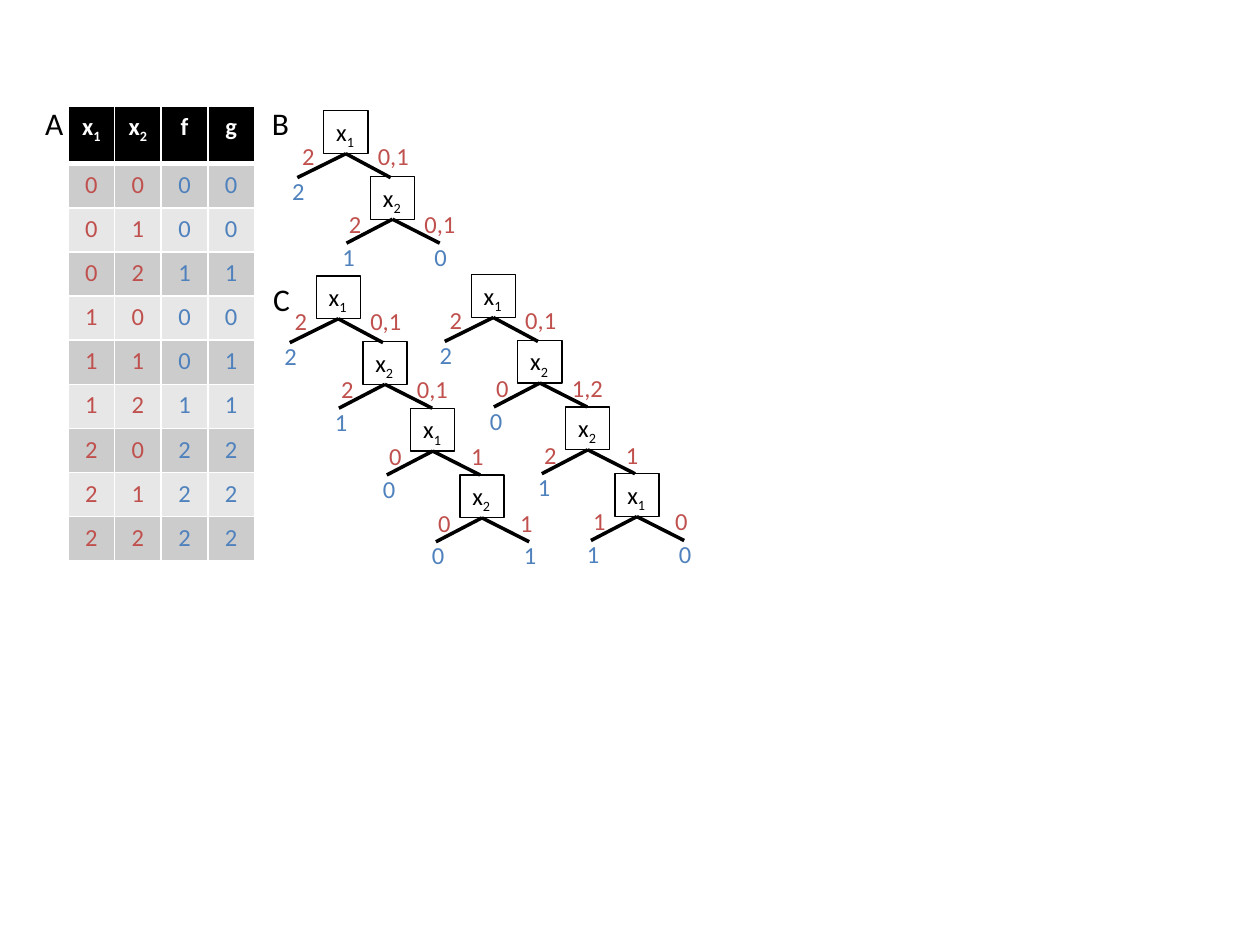
from pptx import Presentation
from pptx.dml.color import RGBColor
from pptx.enum.shapes import MSO_CONNECTOR as CXN, MSO_SHAPE as SHP
from pptx.enum.text import MSO_ANCHOR as ANC, MSO_AUTO_SIZE as FIT, PP_ALIGN as AL
from pptx.oxml import parse_xml
from pptx.oxml.ns import nsdecls
from pptx.util import Pt

PX = 9144
BLACK, WHITE, RED, BLUE = "000000", "FFFFFF", "C0504D", "4F81BD"


def rgb(value):
    return RGBColor.from_string(value)


def write(sp, text, color, size=14, align=AL.LEFT, bold=False):
    tf = sp.text_frame
    p = tf.paragraphs[0]
    p.alignment = align
    for i, part in enumerate(text.split("_")):
        r = p.add_run()
        r.text = part
        r.font.name = "Calibri"
        r.font.size = Pt(size)
        r.font.bold = bold
        r.font.color.rgb = rgb(color)
        if i:
            r._r.get_or_add_rPr().set("baseline", "-25000")
    return tf


prs = Presentation()
prs.slide_width, prs.slide_height = 1000 * PX, 750 * PX
s = prs.slides.add_slide(prs.slide_layouts[6])

rows = ["x_1 x_2 f g", "0 0 0 0", "0 1 0 0", "0 2 1 1", "1 0 0 0",
        "1 1 0 1", "1 2 1 1", "2 0 2 2", "2 1 2 2", "2 2 2 2"]
table = s.shapes.add_table(10, 4, 54 * PX, 84 * PX, 148 * PX, 361 * PX).table
for col in table.columns:
    col.width = 37 * PX
for i, row in enumerate(rows):
    table.rows[i].height = (35 if i else 46) * PX
    for j, text in enumerate(row.split()):
        cell = table.cell(i, j)
        color = (RED if j < 2 else BLUE) if i else WHITE
        write(cell, text, color, align=AL.CENTER, bold=i == 0)
        for side in "LRTB":
            thick = (i == 0 and side == "B") or (i == 1 and side == "T")
            cell._tc.get_or_add_tcPr().append(parse_xml(
                f'<a:ln{side} {nsdecls("a")} w="{Pt(3 if thick else 1)}"><a:solidFill>'
                f'<a:srgbClr val="{WHITE}"/></a:solidFill></a:ln{side}>'))
        cell.fill.solid()
        cell.fill.fore_color.rgb = rgb(("CCCCCC" if i % 2 else "E7E7E7") if i else BLACK)

labels = [("A", 26, 78, 35, 40, BLACK, 18),
          ("B", 206, 78, 34, 40, BLACK, 18),
          ("C", 207, 217, 34, 40, BLACK, 18)]

# node: variable, left edge, right edge, left leaf, right leaf
trees = [
    (257, 88, [("x_1", "2", "0,1", "2", ""), ("x_2", "2", "0,1", "1", "0")]),
    (251, 219, [("x_1", "2", "0,1", "2", ""), ("x_2", "2", "0,1", "1", ""),
                ("x_1", "0", "1", "0", ""), ("x_2", "0", "1", "0", "1")]),
    (374, 218, [("x_1", "2", "0,1", "2", ""), ("x_2", "0", "1,2", "0", ""),
                ("x_2", "2", "1", "1", ""), ("x_1", "1", "0", "1", "0")]),
]
steps = [(0, 0), (37, 52), (75, 105), (114, 158)]
for left, top, nodes in trees:
    for (dx, dy), (name, low, high, leaf, last) in zip(steps, nodes):
        x, y = left + dx, top + dy
        root = dx == 0
        box = s.shapes.add_shape(SHP.RECTANGLE, x * PX, y * PX, 35 * PX, 34 * PX)
        box.shadow.inherit = False
        box.fill.background()
        box.line.color.rgb = rgb(BLACK)
        box.line.width = Pt(0.75)
        tf = write(box, name, BLACK)
        tf.word_wrap = False
        tf.vertical_anchor = ANC.TOP
        for end in (-19, 55):
            end_x = x + end - 2 * root
            line = s.shapes.add_connector(CXN.STRAIGHT, x * PX, y * PX, end_x * PX, (y + 53) * PX)
            line.begin_connect(box, 2)
            line.line.color.rgb = rgb(BLACK)
            line.line.width = Pt(2)
            line._element.spPr.append(parse_xml(f'<a:effectLst {nsdecls("a")}/>'))
        edge_y = y + (19 if root else 21)
        wide = len(high) > 1
        labels += [(low, x - 27, edge_y, 30, 34, RED, 14),
                   (high, x + (33 if wide else 38), edge_y, 45 if wide else 30, 34, RED, 14),
                   (leaf, x - (35 if root else 32), y + 47, 30, 34, BLUE, 14)]
        if last:
            labels.append((last, x + 41, y + 47, 30, 34, BLUE, 14))

for text, x, y, w, h, color, size in labels:
    sp = s.shapes.add_textbox(x * PX, y * PX, w * PX, h * PX)
    tf = write(sp, text, color, size)
    tf.word_wrap = False
    tf.auto_size = FIT.SHAPE_TO_FIT_TEXT

prs.save("out.pptx")
